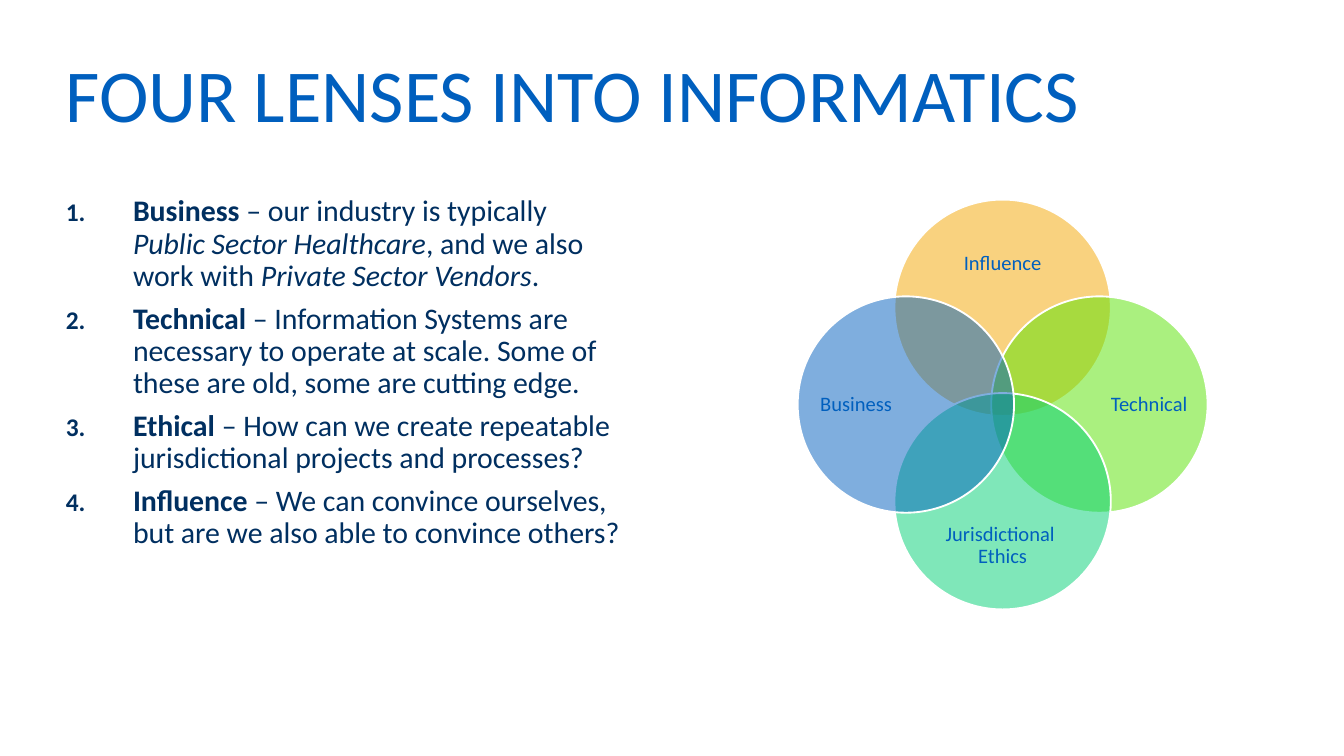
import pptx
import pptx.dml.color
import pptx.enum.shapes
import pptx.enum.text
import pptx.oxml
import pptx.oxml.ns
import pptx.util
from pptx.util import Inches

FONT = "Calibri"
COLORS = {
    "title": "005FBE",
    "body": "002F60",
    "outline": "FFFFFF",
    "influence": "F5A600",
    "technical": "57E300",
    "ethics": "00D074",
    "business": "005FBE",
}
LENS_POINTS = [
    [("Business", "b"), (" – our industry is typically \n", ""),
     ("Public Sector Healthcare", "i"), (", and we also work with ", ""),
     ("Private Sector Vendors", "i"), (".", "")],
    [("Technical", "b"),
     (" – Information Systems are necessary to operate at scale. "
      "Some of these are old, some are cutting edge.", "")],
    [("Ethical", "b"),
     (" – How can we create repeatable jurisdictional projects and processes?", "")],
    [("Influence", "b"),
     (" – We can convince ourselves, but are we also able to convince others?", "")],
]
LENSES = [
    ("Influence", "influence", 0, -1),
    ("Technical", "technical", 1, 0),
    ("Jurisdictional \nEthics", "ethics", 0, 1),
    ("Business", "business", -1, 0),
]
CENTER_X, CENTER_Y = 7.46, 3.01
DIAMETER, CIRCLE_OFFSET = 1.61, 0.72
LABEL_LONG, LABEL_SHORT = 1.24, 0.51
SIDE_LABEL_WIDTH = 0.62
LABEL_OFFSET_X, LABEL_OFFSET_Y = 1.09, 1.05


def rgb(name):
    return pptx.dml.color.RGBColor.from_string(COLORS[name])


def add_drawing_element(parent, tag, **attributes):
    element = pptx.oxml.parse_xml(f"<a:{tag} {pptx.oxml.ns.nsdecls('a')}/>")
    for key, value in attributes.items():
        element.set(key, str(value))
    parent.append(element)


def number_paragraph(paragraph):
    properties = paragraph._p.get_or_add_pPr()
    properties.set("marL", str(Inches(0.5)))
    properties.set("indent", str(Inches(-0.5)))
    add_drawing_element(properties, "buSzPct", val=85000)
    add_drawing_element(properties, "buFont", typeface="+mj-lt")
    add_drawing_element(properties, "buAutoNum", type="arabicPeriod")


def add_styled_run(paragraph, text, style, size, color):
    for index, line in enumerate(text.split("\n")):
        if index:
            paragraph.add_line_break()
        if line:
            run = paragraph.add_run()
            run.text = line
            run.font.name = FONT
            run.font.size = pptx.util.Pt(size)
            run.font.color.rgb = rgb(color)
            run.font.bold = style == "b"
            run.font.italic = style == "i"


def add_text(slide, paragraphs, left, top, width, height, size, color="title",
             align="LEFT", anchor="TOP", line_spacing=0.9, gap=0, numbered=False):
    box = slide.shapes.add_textbox(Inches(left), Inches(top), Inches(width), Inches(height))
    frame = box.text_frame
    frame.word_wrap = True
    frame.margin_left = frame.margin_right = frame.margin_top = frame.margin_bottom = 0
    frame.vertical_anchor = getattr(pptx.enum.text.MSO_ANCHOR, anchor)
    for index, parts in enumerate(paragraphs):
        paragraph = frame.add_paragraph() if index else frame.paragraphs[0]
        if numbered:
            number_paragraph(paragraph)
        paragraph.alignment = getattr(pptx.enum.text.PP_ALIGN, align)
        paragraph.line_spacing = line_spacing
        if index:
            paragraph.space_before = pptx.util.Pt(gap)
        for text, style in parts:
            add_styled_run(paragraph, text, style, size, color)


def add_lens_circle(slide, color, across, down):
    left = CENTER_X + across * CIRCLE_OFFSET - DIAMETER / 2
    top = CENTER_Y + down * CIRCLE_OFFSET - DIAMETER / 2
    circle = slide.shapes.add_shape(
        pptx.enum.shapes.MSO_SHAPE.OVAL,
        Inches(left), Inches(top), Inches(DIAMETER), Inches(DIAMETER))
    circle.shadow.inherit = False
    circle.fill.solid()
    circle.fill.fore_color.rgb = rgb(color)
    fill_color = circle._element.spPr.find(
        f"{pptx.oxml.ns.qn('a:solidFill')}/{pptx.oxml.ns.qn('a:srgbClr')}")
    add_drawing_element(fill_color, "alpha", val=50000)
    circle.line.color.rgb = rgb("outline")
    circle.line.width = pptx.util.Pt(1)


def add_lens_label(slide, label, across, down):
    width, height = (SIDE_LABEL_WIDTH, LABEL_LONG) if across else (LABEL_LONG, LABEL_SHORT)
    left = CENTER_X + across * LABEL_OFFSET_X - width / 2
    top = CENTER_Y + down * LABEL_OFFSET_Y - height / 2
    add_text(slide, [[(label, "")]], left, top, width, height, size=11,
             align="CENTER", anchor="MIDDLE")


def main():
    deck = pptx.Presentation()
    deck.slide_width = Inches(10)
    deck.slide_height = deck.slide_width * 9 // 16
    slide = deck.slides.add_slide(deck.slide_layouts[6])
    add_text(slide, [[("FOUR LENSES INTO INFORMATICS", "")]], 0.49, 0.45, 9.04, 0.56,
             size=40, line_spacing=pptx.util.Pt(41))
    add_text(slide, LENS_POINTS, 0.49, 1.46, 4.13, 3.1, size=16, color="body",
             gap=5.6, numbered=True)
    for label, color, across, down in LENSES:
        add_lens_circle(slide, color, across, down)
        add_lens_label(slide, label, across, down)
    deck.save("out.pptx")


if __name__ == "__main__":
    main()
